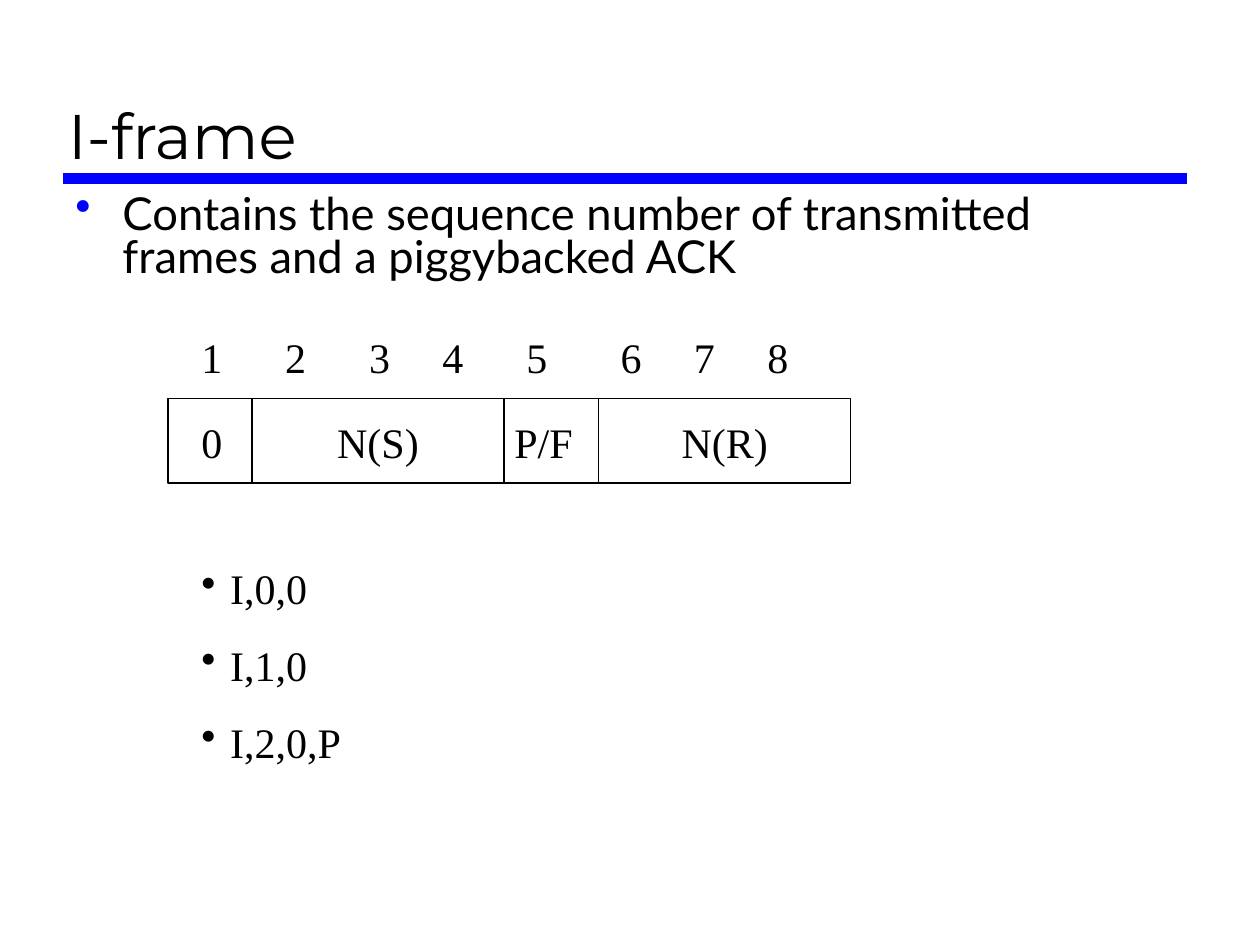
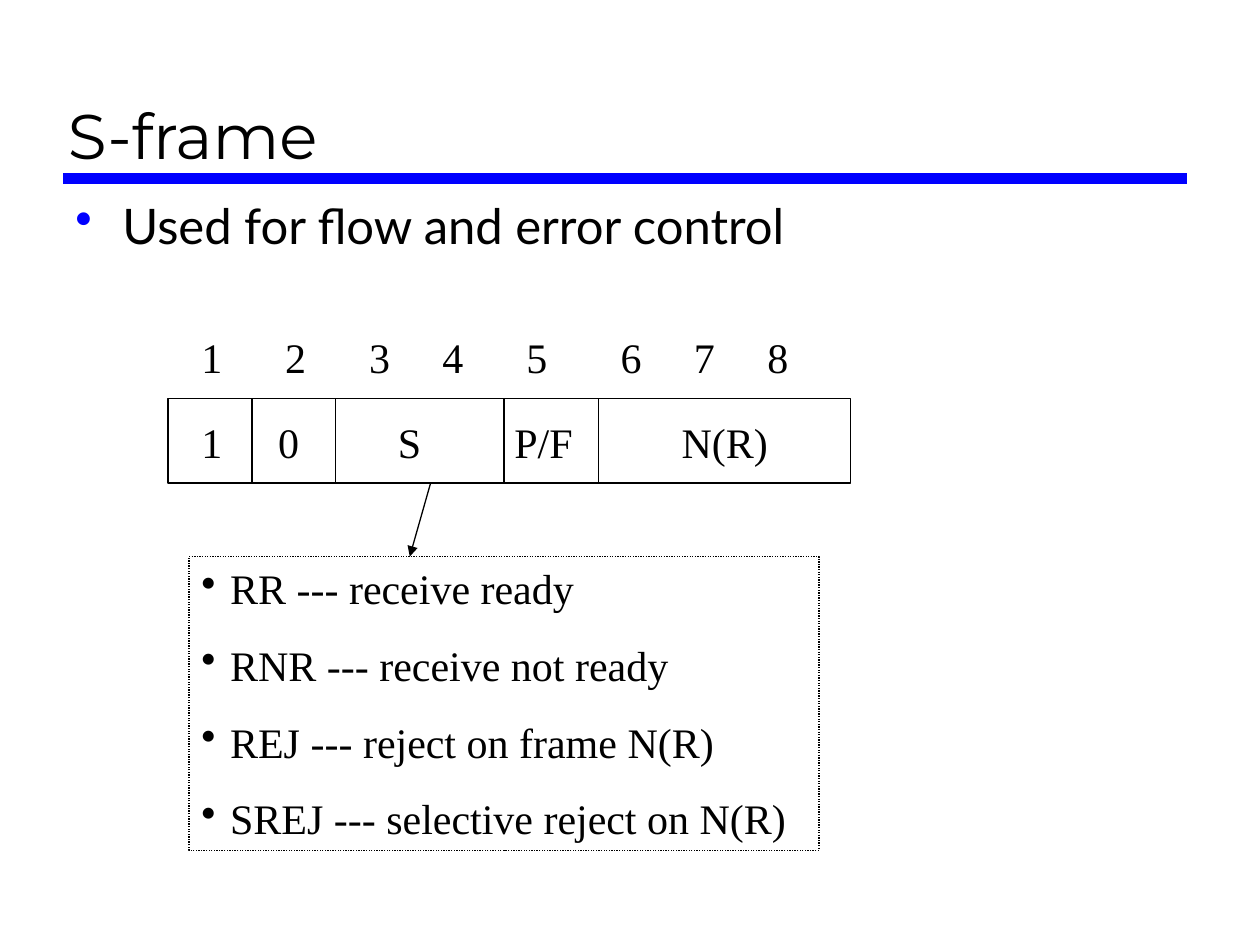
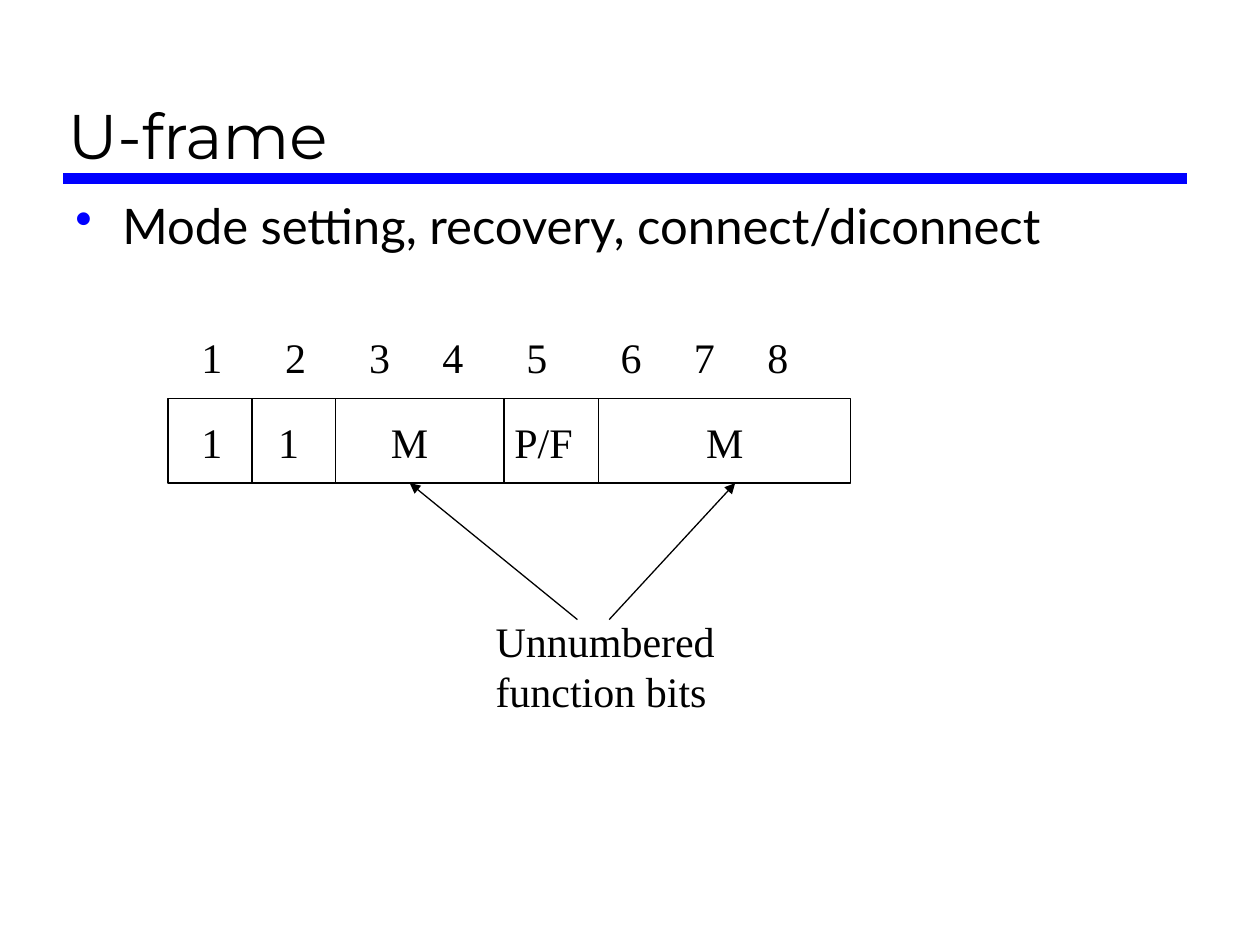
"""Build three slides on the HDLC control field formats."""
from itertools import accumulate

from pptx import Presentation
from pptx import util as u
from pptx.dml import color
from pptx.enum import dml, shapes, text
from pptx.oxml import ns, xmlchemy

BLACK, BLUE = "000000", "0000FF"
TITLE = {"name": "Montserrat", "size": u.Pt(36)}
BODY = {"name": "Lato", "size": u.Pt(28)}
DENSE = {"name": "Lato", "size": u.Pt(25.9)}
NOTE = {"name": "Times New Roman", "size": u.Pt(24)}
LEFT, CENTER = text.PP_ALIGN.LEFT, text.PP_ALIGN.CENTER

ROW_LEFT, ROW_TOP, ROW_WIDTH, ROW_HIGH = 3.39, 8.04, 13.76, 1.7
ROW_END = ROW_TOP + ROW_HIGH
BIT_GAPS = [1.69, 1.69, 1.48, 1.69, 1.9, 1.48, 1.48]
SPLITS = {"bit2": 5.08, "pair": 6.77, "poll": 10.16, "last": 12.07}
SLOTS = {
    "bit1": (3.81, 1.07, LEFT, 0.25),
    "bit2": (5.08, 1.48, CENTER, 0.25),
    "wide": (5.29, 4.66, CENTER, 0.25),
    "pair": (6.56, 3.39, CENTER, 0.25),
    "poll": (10.37, 1.48, LEFT, 0),
    "last": (12.28, 4.66, CENTER, 0.25),
}


def paint(code):
    """Turn a hex string into a colour."""
    return color.RGBColor.from_string(code)


def apply(target, values):
    """Set attributes from a dict of format values."""
    for key, value in values.items():
        setattr(target, key, value)


def attach(parent, tag, **attrs):
    """Append an XML element with attributes and return it."""
    node = xmlchemy.OxmlElement(tag)
    for key, value in attrs.items():
        node.set(key, str(value))
    parent.append(node)
    return node


def mark(para, hang, tint):
    """Give a paragraph a hanging bullet."""
    props = para._p.get_or_add_pPr()
    props.set("marL", str(u.Cm(hang)))
    props.set("indent", str(-u.Cm(hang)))
    attach(attach(props, "a:buClr"), "a:srgbClr", val=tint)
    attach(props, "a:buChar", char="•")


def stops(para, places):
    """Set left tab stops on a paragraph."""
    tabs = attach(para._p.get_or_add_pPr(), "a:tabLst")
    for place in places:
        attach(tabs, "a:tab", pos=u.Cm(place), algn="l")


def fill(shape, lines, font, inset=0.25, anchor=text.MSO_ANCHOR.TOP,
         align=LEFT, hang=0, tint=BLACK, space=None, tabs=()):
    """Write lines of text into a shape."""
    frame = shape.text_frame
    apply(frame, {"word_wrap": True, "vertical_anchor": anchor,
                  "margin_left": u.Cm(inset), "margin_right": u.Cm(min(inset, 0.25)),
                  "margin_top": u.Cm(0.13), "margin_bottom": u.Cm(0.13)})
    for num, line in enumerate(lines):
        para = frame.add_paragraph() if num else frame.paragraphs[0]
        para.text = line
        apply(para, {"alignment": align, "line_spacing": space})
        if num:
            para.space_before = u.Pt(15)
        if hang:
            mark(para, hang, tint)
        if tabs:
            stops(para, tabs)
        apply(para.runs[0].font, font)
        para.runs[0].font.color.rgb = paint(BLACK)


def label(slide, area, lines, font, **style):
    """Add a text box."""
    fill(slide.shapes.add_textbox(*map(u.Cm, area)), lines, font, **style)


def frame(slide, area, dash=None):
    """Add an unfilled rectangle with a thin outline."""
    shape = slide.shapes.add_shape(shapes.MSO_SHAPE.RECTANGLE, *map(u.Cm, area))
    shape.shadow.inherit = False
    shape.fill.background()
    shape.line.color.rgb = paint(BLACK)
    apply(shape.line, {"width": u.Pt(0.75), "dash_style": dash})
    return shape


def rule(slide, start, end, tint=BLACK, width=0.75, arrow=False):
    """Draw a straight line, with an arrowhead if asked."""
    line = slide.shapes.add_connector(
        shapes.MSO_CONNECTOR.STRAIGHT, *map(u.Cm, start + end))
    line.line.color.rgb = paint(tint)
    line.line.width = u.Pt(width)
    if arrow:
        attach(line.line._ln, "a:tailEnd", type="triangle")
    attach(line._element.find(ns.qn("p:spPr")), "a:effectLst")


def start(deck, title, point, font, **style):
    """Add a slide with its title, blue rule and bullet point."""
    slide = deck.slides.add_slide(deck.slide_layouts[6])
    rule(slide, (1.27, 3.6), (23.93, 3.6), BLUE, 6)
    label(slide, (1.12, 0.43, 22.78, 3.18), [title], TITLE,
          anchor=text.MSO_ANCHOR.BOTTOM)
    label(slide, (1.27, 3.81, 21.39, 1.48), [point], font,
          hang=0.95, tint=BLUE, **style)
    return slide


def layout(slide, fields):
    """Draw the eight-bit control field with its bit numbers."""
    frame(slide, (ROW_LEFT, ROW_TOP, ROW_WIDTH, ROW_HIGH))
    label(slide, (2.96, 6.56, 14.6, 1.27), ["\t".join("12345678")], NOTE,
          inset=1.1, tabs=list(accumulate(BIT_GAPS)))
    for slot, word in fields.items():
        left, width, align, inset = SLOTS[slot]
        label(slide, (left, 8.26, width, 1.27), [word], NOTE,
              align=align, inset=inset)
        split = SPLITS.get("bit2" if slot == "wide" else slot)
        if split:
            rule(slide, (split, ROW_TOP), (split, ROW_END))


def main():
    """Build and save the deck."""
    deck = Presentation()
    apply(deck, {"slide_width": u.Cm(25.4), "slide_height": u.Cm(19.05)})

    slide = start(
        deck, "I-frame",
        "Contains the sequence number of transmitted frames and a piggybacked ACK",
        DENSE, space=0.8)
    layout(slide, {"bit1": "0", "wide": "N(S)", "poll": "P/F", "last": "N(R)"})
    label(slide, (3.81, 11.22, 11, 4.37), ["I,0,0", "I,1,0", "I,2,0,P"],
          NOTE, hang=0.58)

    slide = start(deck, "S-frame", "Used for flow and error control", BODY)
    layout(slide, {"bit1": "1", "bit2": "0", "pair": "S", "poll": "P/F",
                   "last": "N(R)"})
    kinds = frame(slide, (3.81, 11.22, 12.7, 5.92), dml.MSO_LINE.ROUND_DOT)
    fill(kinds, ["RR --- receive ready", "RNR --- receive not ready",
                 "REJ --- reject on frame N(R)",
                 "SREJ --- selective reject on N(R)"], NOTE, hang=0.58)
    rule(slide, (8.68, ROW_END), (8.26, 11.22), arrow=True)

    slide = start(deck, "U-frame", "Mode setting, recovery, connect/diconnect", BODY)
    layout(slide, {"bit1": "1", "bit2": "1", "pair": "M", "poll": "P/F",
                   "last": "M"})
    label(slide, (9.74, 12.28, 6.14, 2.29), ["Unnumbered function bits"], NOTE)
    for tail, head in ((11.64, 8.26), (12.28, 14.82)):
        rule(slide, (tail, 12.49), (head, ROW_END), arrow=True)

    deck.save("out.pptx")


if __name__ == "__main__":
    main()
